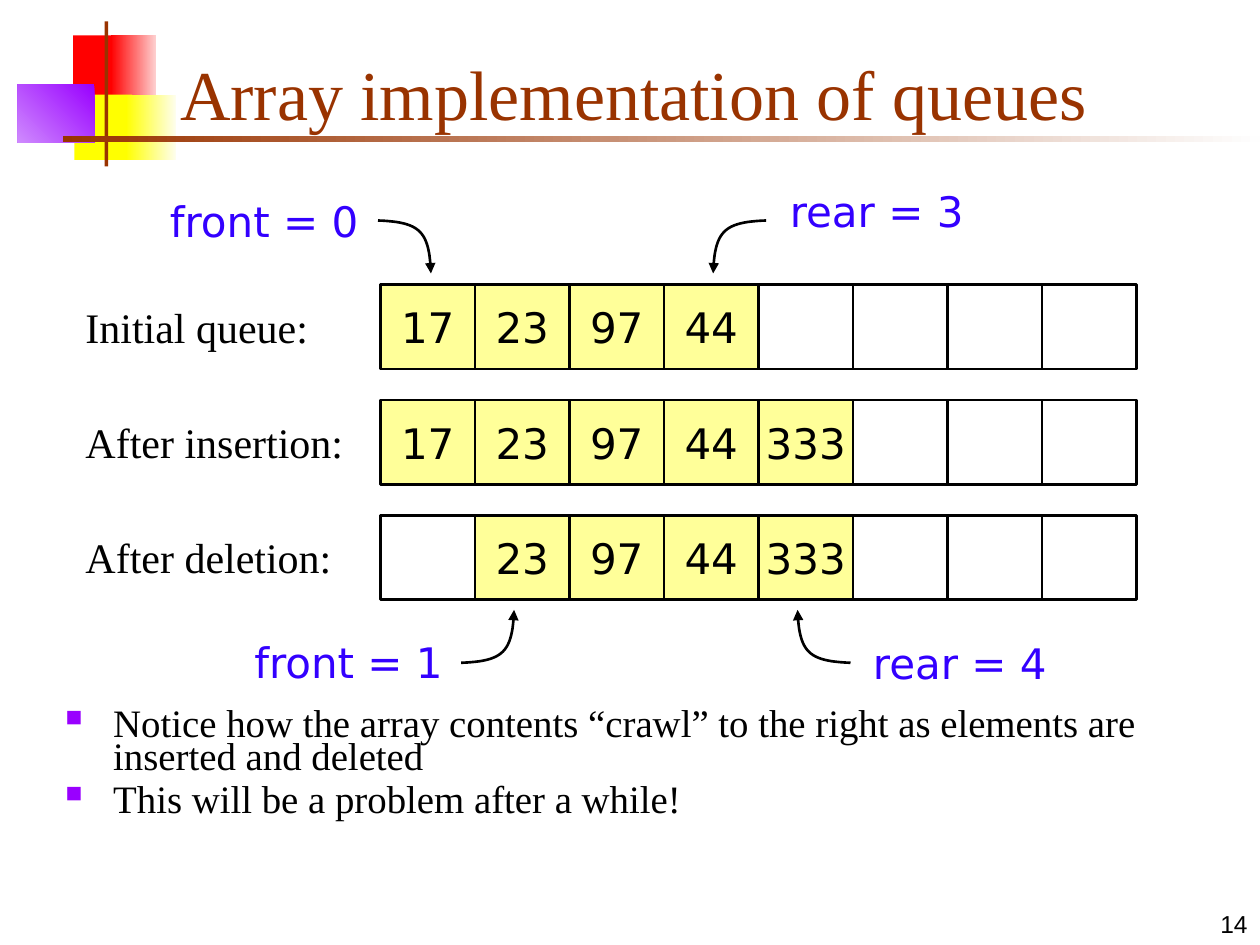
"""Build the slide on the array implementation of queues."""
from lxml import etree
from pptx import Presentation
from pptx import util as u
from pptx.dml.color import RGBColor
from pptx.enum import shapes, text
from pptx.oxml import ns

BLACK = RGBColor(0x00, 0x00, 0x00)
BROWN = RGBColor(0x99, 0x33, 0x00)
BLUE = RGBColor(0x33, 0x00, 0xFF)
PURPLE = RGBColor(0x99, 0x00, 0xFF)
LILAC = RGBColor(0xCF, 0x8A, 0xFE)
RED = RGBColor(0xFF, 0x00, 0x00)
PINK = RGBColor(0xFE, 0xD0, 0xD0)
YELLOW = RGBColor(0xFF, 0xFF, 0x00)
CREAM = RGBColor(0xFE, 0xFE, 0xEF)
WHITE = RGBColor(0xFE, 0xFE, 0xFE)
FILLED = RGBColor(0xFF, 0xFF, 0x99)
SERIF, SANS = "Times New Roman", "DejaVu Sans"


def write(shape, *lines, size=24, font=SERIF, color=BLACK, wrap=True,
          align=text.PP_ALIGN.LEFT, anchor=text.MSO_ANCHOR.TOP):
    frame = shape.text_frame
    frame.word_wrap = wrap
    frame.auto_size = text.MSO_AUTO_SIZE.NONE
    frame.vertical_anchor = anchor
    frame.text = "\n".join(lines)
    for paragraph in frame.paragraphs:
        paragraph.alignment = align
        run_font = paragraph.runs[0].font
        run_font.size, run_font.name = u.Pt(size), font
        run_font.color.rgb = color
    return frame


def add_box(left, top, width, height):
    box = slide.shapes.add_shape(shapes.MSO_SHAPE.RECTANGLE, *map(u.Inches, (left, top, width, height)))
    box.shadow.inherit = False
    return box


deck = Presentation()
deck.slide_width, deck.slide_height = u.Inches(10), u.Inches(7.5)
slide = deck.slides.add_slide(deck.slide_layouts[5])

title = slide.shapes.title
title.left, title.top = u.Inches(1.33), u.Inches(0.33)
title.width, title.height = u.Inches(8.52), u.Inches(0.79)
write(title, "Array implementation of queues", size=40, color=BROWN, anchor=text.MSO_ANCHOR.BOTTOM)

for place, colors, angle in (
    ((0.58, 0.28, 0.35, 0.52), [RED], 0),
    ((0.88, 0.28, 0.36, 0.52), [PINK, RED], 180),
    ((0.59, 0.75, 0.46, 0.52), [YELLOW], 0),
    ((1, 0.75, 0.4, 0.52), [CREAM, YELLOW], 180),
    ((0.14, 0.67, 0.61, 0.46), [PURPLE, LILAC], 225),
    ((0.83, 0.17, 0.03, 1.15), [BROWN], 0),
    ((0.5, 1.08, 9.5, 0.05), [WHITE, BROWN], 180),
):
    ornament = add_box(*place)
    ornament.line.fill.background()
    if len(colors) == 1:
        ornament.fill.solid()
        ornament.fill.fore_color.rgb = colors[0]
    else:
        ornament.fill.gradient()
        ornament.fill.gradient_angle = angle
        for stop, color in zip(ornament.fill.gradient_stops, colors):
            stop.color.rgb = color

notes = slide.shapes.add_textbox(u.Inches(0.42), u.Inches(5.6), u.Inches(9.38), u.Inches(1.04))
notes_frame = write(
    notes,
    "Notice how the array contents “crawl” to the right as elements are inserted and deleted",
    "This will be a problem after a while!",
    size=22.2,
)
for note in notes_frame.paragraphs:
    note.line_spacing = 0.7
    note.space_before = u.Pt(6)
    properties = note._p.get_or_add_pPr()
    properties.set("marL", str(u.Inches(0.38)))
    properties.set("indent", str(u.Inches(-0.38)))
    bullet_color = etree.SubElement(properties, ns.qn("a:buClr"))
    etree.SubElement(bullet_color, ns.qn("a:srgbClr"), val=str(PURPLE))
    etree.SubElement(properties, ns.qn("a:buSzPct"), val="60000")
    etree.SubElement(properties, ns.qn("a:buChar"), char="■")

CELL_WIDTH, CELL_HEIGHT, ROW_STEP = 0.75, 0.67, 0.915
queues = (
    ("Initial queue:", ["17", "23", "97", "44", "", "", "", ""]),
    ("After insertion:", ["17", "23", "97", "44", "333", "", "", ""]),
    ("After deletion:", ["", "23", "97", "44", "333", "", "", ""]),
)
for row, (caption, values) in enumerate(queues):
    top = 2.26 + row * ROW_STEP
    label = slide.shapes.add_textbox(u.Inches(0.58), u.Inches(top + 0.08), u.Inches(2.25), u.Inches(0.5))
    write(label, caption)
    for column, value in enumerate(values):
        cell = add_box(3.02 + column * CELL_WIDTH, top, CELL_WIDTH, CELL_HEIGHT)
        cell.line.color.rgb = BLACK
        cell.line.width = u.Pt(1.5)
        if value:
            cell.fill.solid()
            cell.fill.fore_color.rgb = FILLED
            write(cell, value, font=SANS, wrap=False,
                  align=text.PP_ALIGN.CENTER, anchor=text.MSO_ANCHOR.MIDDLE)
        else:
            cell.fill.background()

CURVE_STEPS, REACH = 24, 0.42
for name, left, top, start_x, start_y, right, down in (
    ("front = 0", 1.25, 1.5, 3, 1.75, 1, 1),
    ("rear = 3", 6.17, 1.42, 6.08, 1.75, -1, 1),
    ("front = 1", 1.92, 5, 3.66, 5.26, 1, -1),
    ("rear = 4", 6.83, 5.01, 6.75, 5.26, -1, -1),
):
    pointer = slide.shapes.add_textbox(u.Inches(left), u.Inches(top), u.Inches(1.83), u.Inches(0.5))
    write(pointer, name, font=SANS, color=BLUE)

    bend = []
    for step in range(1, CURVE_STEPS + 1):
        t = step / CURVE_STEPS
        near, far, end = 3 * t * (1 - t) ** 2, 3 * t ** 2 * (1 - t), t ** 3
        across = 0.8 * near + 0.97 * far + end
        along = 0.03 * near + 0.2 * far + end
        bend.append((u.Inches(start_x + right * REACH * across), u.Inches(start_y + down * REACH * along)))
    outline = slide.shapes.build_freeform(u.Inches(start_x), u.Inches(start_y))
    outline.add_line_segments(bend, close=False)
    arrow = outline.convert_to_shape()
    arrow.shadow.inherit = False
    arrow.fill.background()
    arrow.line.color.rgb = BLACK
    arrow.line.width = u.Pt(1.5)
    etree.SubElement(arrow.line._get_or_add_ln(), ns.qn("a:tailEnd"), type="triangle")

page = slide.shapes.add_textbox(u.Inches(7.92), u.Inches(7), u.Inches(2.08), u.Inches(0.5))
write(page, "14", size=14, font="Arial", align=text.PP_ALIGN.RIGHT, anchor=text.MSO_ANCHOR.BOTTOM)

deck.save("out.pptx")
